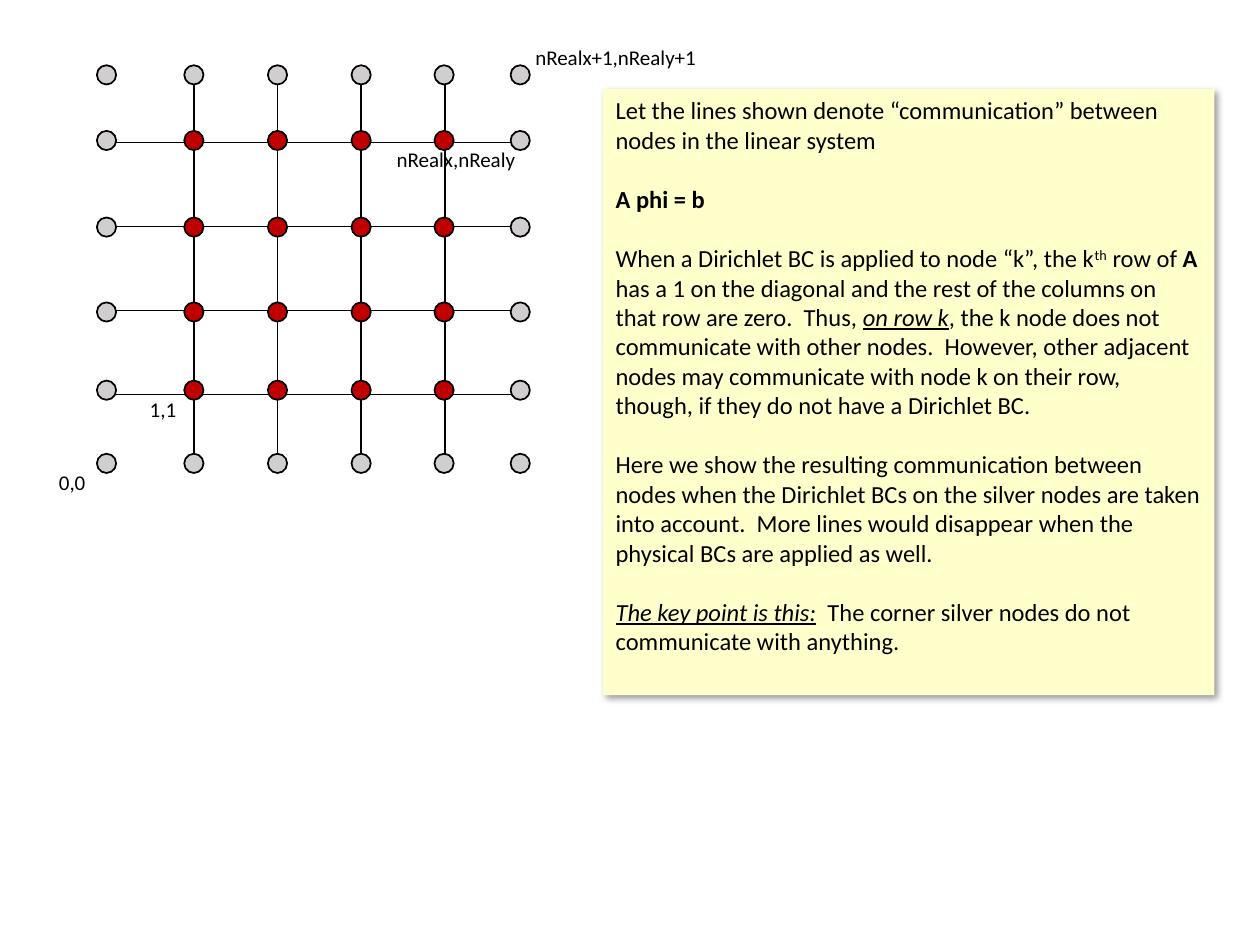
"""Build the slide on node communication under Dirichlet boundary conditions."""
from lxml.etree import SubElement
from pptx import Presentation
from pptx.dml.color import RGBColor
from pptx.enum.shapes import MSO_CONNECTOR, MSO_SHAPE
from pptx.enum.text import MSO_ANCHOR, PP_ALIGN
from pptx.oxml import parse_xml
from pptx.oxml.ns import qn
from pptx.util import Pt

BLACK, RED, SILVER, YELLOW = "000000", "C00000", "D0CECE", "FFFFCC"
NODE_SIZE = 11
SHADOW = (
    '<a:effectLst xmlns:a="http://schemas.openxmlformats.org/drawingml/2006/main">'
    '<a:outerShdw blurRad="50800" dist="38100" dir="2700000" algn="tl" rotWithShape="0">'
    '<a:srgbClr val="000000"><a:alpha val="40000"/></a:srgbClr>'
    '</a:outerShdw></a:effectLst>'
)


def color(hex_value):
    return RGBColor.from_string(hex_value)


def write(para, text, size=14, bold=False, italic=False, underline=False, raised=False):
    span = para.add_run()
    span.text = text
    font = span.font
    font.name, font.size = "Calibri", Pt(size)
    font.bold, font.italic, font.underline = bold, italic, underline
    font.color.rgb = color(BLACK)
    if raised:
        span.font._element.set("baseline", "30000")


deck = Presentation()
deck.slide_width, deck.slide_height = Pt(720), Pt(540)
page = deck.slides.add_slide(deck.slide_layouts[6])

vertical_lines = [(110.8 + 47.8 * i, 45.4, 110.8 + 47.8 * i, 265) for i in range(4)]
horizontal_lines = [(60.5, 81.4 + 48 * i, 295.2, 81.4 + 48 * i) for i in range(4)]
for ends in vertical_lines + horizontal_lines:
    line = page.shapes.add_connector(MSO_CONNECTOR.STRAIGHT, *[Pt(end) for end in ends])
    line.line.color.rgb = color(BLACK)
    line.line.width = Pt(1)
    SubElement(line._element.spPr, qn("a:effectLst"))

columns = [60.9, 110.8, 158.6, 206.4, 253.8, 297.3]
rows = [42.8, 80.3, 129.8, 178.3, 223, 264.8]
for row, center_y in enumerate(rows):
    for column, center_x in enumerate(columns):
        inside = 0 < row < 5 and 0 < column < 5
        node = page.shapes.add_shape(
            MSO_SHAPE.OVAL, Pt(center_x - NODE_SIZE / 2), Pt(center_y - NODE_SIZE / 2),
            Pt(NODE_SIZE), Pt(NODE_SIZE))
        node.shadow.inherit = False
        node.fill.solid()
        node.fill.fore_color.rgb = color(RED if inside else SILVER)
        node.line.color.rgb = color(BLACK)
        node.line.width = Pt(1)

labels = [
    ("1,1", 78.5, 223.2, 30),
    ("0,0", 26.6, 265, 30),
    ("nRealx,nRealy", 219.6, 80.2, 82.8),
    ("nRealx+1,nRealy+1", 298.8, 21.8, 107.3),
]
for text, left, top, width in labels:
    label = page.shapes.add_textbox(Pt(left), Pt(top), Pt(width), Pt(21.8))
    label.text_frame.word_wrap = False
    write(label.text_frame.paragraphs[0], text, size=12)

box = page.shapes.add_shape(MSO_SHAPE.RECTANGLE, Pt(344.7), Pt(51), Pt(349.2), Pt(346.3))
box.fill.solid()
box.fill.fore_color.rgb = color(YELLOW)
box.line.fill.background()
box._element.spPr.append(parse_xml(SHADOW))
frame = box.text_frame
frame.word_wrap = True
frame.vertical_anchor = MSO_ANCHOR.TOP

stressed = {"italic": True, "underline": True}
paragraphs = [
    [("Let the lines shown denote “communication” between nodes in the linear system", {})],
    [("A phi = b", {"bold": True})],
    [
        ("When a Dirichlet BC is applied to node “k”, the k", {}),
        ("th", {"raised": True}),
        (" row of ", {}),
        ("A", {"bold": True}),
        (" has a 1 on the diagonal and the rest of the columns on that row are zero.  Thus, ", {}),
        ("on row k", stressed),
        (", the k node does not communicate with other nodes.  However, other adjacent nodes "
         "may communicate with node k on their row, though, if they do not have a Dirichlet BC.", {}),
    ],
    [("Here we show the resulting communication between nodes when the Dirichlet BCs on the "
      "silver nodes are taken into account.  More lines would disappear when the physical BCs "
      "are applied as well.", {})],
    [
        ("The key point is this:", stressed),
        ("  The corner silver nodes do not communicate with anything.", {}),
    ],
]
for index, spans in enumerate(paragraphs):
    para = frame.add_paragraph() if index else frame.paragraphs[0]
    para.alignment = PP_ALIGN.LEFT
    para.space_before = Pt(17 if index else 0)
    for text, look in spans:
        write(para, text, **look)

deck.save("out.pptx")
